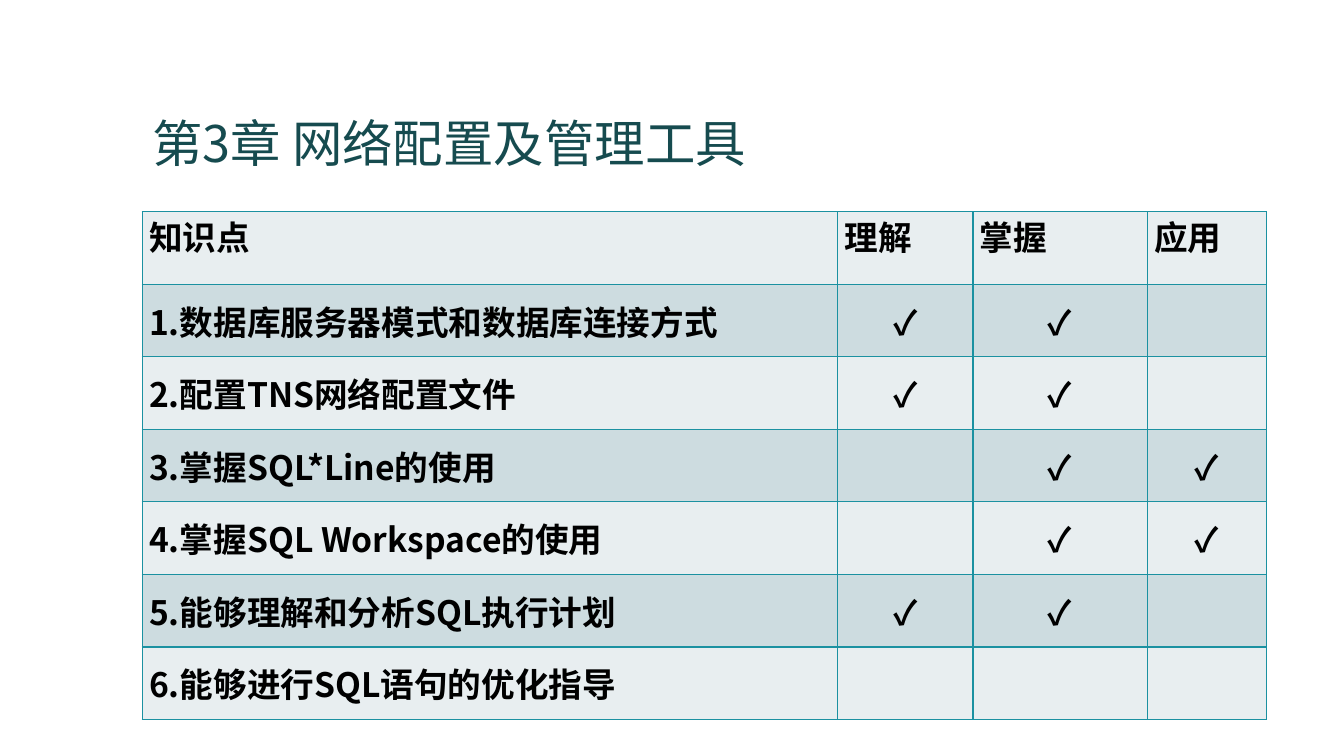
from dataclasses import dataclass

from lxml import etree
from pptx import Presentation
from pptx import util as u
from pptx.dml.color import RGBColor
from pptx.enum import text
from pptx.oxml import ns


@dataclass(frozen=True)
class Theme:
    """Colours, font and type sizes of the slide."""
    font: str = "Noto Sans CJK SC"
    title: str = "164B4F"
    ink: str = "000000"
    border: str = "1B91A1"
    light: str = "E8EEF0"
    dark: str = "CDDCE0"
    title_size: int = 36
    body_size: int = 24
    border_width: float = 1


def write(tf, content, *, font, size, color, bold=False, align=None, spacing=None):
    """Put one formatted paragraph into a text frame."""
    p = tf.paragraphs[0]
    p.alignment = align
    p.line_spacing = spacing
    r = p.add_run()
    r.text = content
    r.font.size = u.Pt(size)
    r.font.bold = bold
    r.font.color.rgb = RGBColor.from_string(color)
    r.font.name = font
    etree.SubElement(r.font._element, ns.qn("a:ea"), typeface=font)


def set_borders(cell, color, width):
    """Draw the four sides of a table cell."""
    tc_pr = cell._tc.get_or_add_tcPr()
    for i, side in enumerate("LRTB"):
        ln = etree.Element(ns.qn(f"a:ln{side}"), w=str(u.Pt(width)))
        fill = etree.SubElement(ln, ns.qn("a:solidFill"))
        etree.SubElement(fill, ns.qn("a:srgbClr"), val=color)
        tc_pr.insert(i, ln)


class SlideBuilder:
    """Holds the theme and the current slide."""

    def __init__(self, slide, theme):
        """Keep the slide and its theme."""
        self.s = slide
        self.theme = theme

    def title(self, content, left, top, width, height):
        """Add the bottom-anchored title."""
        sp = self.s.shapes.add_textbox(*map(u.Inches, (left, top, width, height)))
        tf = sp.text_frame
        tf.word_wrap = True
        tf.vertical_anchor = text.MSO_ANCHOR.BOTTOM
        t = self.theme
        write(tf, content, font=t.font, size=t.title_size, color=t.title, spacing=0.9)

    def table(self, rows, left, top, widths, row_height):
        """Add a banded table with a header row."""
        frame = self.s.shapes.add_table(
            len(rows), len(widths), u.Inches(left), u.Inches(top),
            u.Inches(sum(widths)), u.Inches(row_height * len(rows)))
        table = frame.table
        for column, width in zip(table.columns, widths):
            column.width = u.Inches(width)
        for i, values in enumerate(rows):
            table.rows[i].height = u.Inches(row_height)
            for j, value in enumerate(values):
                self.cell(table.cell(i, j), value, i, j)

    def cell(self, cell, value, row, column):
        """Fill, frame and write one table cell."""
        t = self.theme
        header = row == 0
        cell.fill.solid()
        cell.fill.fore_color.rgb = RGBColor.from_string(t.dark if row % 2 else t.light)
        set_borders(cell, t.border, t.border_width)
        cell.margin_left = cell.margin_right = u.Inches(0.07)
        cell.margin_top = cell.margin_bottom = u.Inches(0 if header else 0.04)
        cell.vertical_anchor = text.MSO_ANCHOR.TOP if header else text.MSO_ANCHOR.MIDDLE
        if value:
            centred = column > 0 and not header
            write(cell.text_frame, value, font=t.font, size=t.body_size,
                  color=t.ink, bold=True,
                  align=text.PP_ALIGN.CENTER if centred else text.PP_ALIGN.LEFT)


LEVELS = ["理解", "掌握", "应用"]
TOPICS = [
    ("数据库服务器模式和数据库连接方式", "理解 掌握"),
    ("配置TNS网络配置文件", "理解 掌握"),
    ("掌握SQL*Line的使用", "掌握 应用"),
    ("掌握SQL Workspace的使用", "掌握 应用"),
    ("能够理解和分析SQL执行计划", "理解 掌握"),
    ("能够进行SQL语句的优化指导", ""),
]


def main():
    """Build and save the slide."""
    prs = Presentation()
    prs.slide_width, prs.slide_height = u.Inches(13.33), u.Inches(7.5)
    builder = SlideBuilder(prs.slides.add_slide(prs.slide_layouts[6]), Theme())
    builder.title("第3章 网络配置及管理工具", 1.41, 0.52, 10.5, 1.25)
    rows = [["知识点", *LEVELS]]
    for number, (topic, reached) in enumerate(TOPICS, 1):
        marks = ["✓" if level in reached.split() else "" for level in LEVELS]
        rows.append([f"{number}.{topic}", *marks])
    builder.table(rows, 1.41, 2.1, [6.9, 1.34, 1.73, 1.18], 0.72)
    prs.save("out.pptx")


main()
